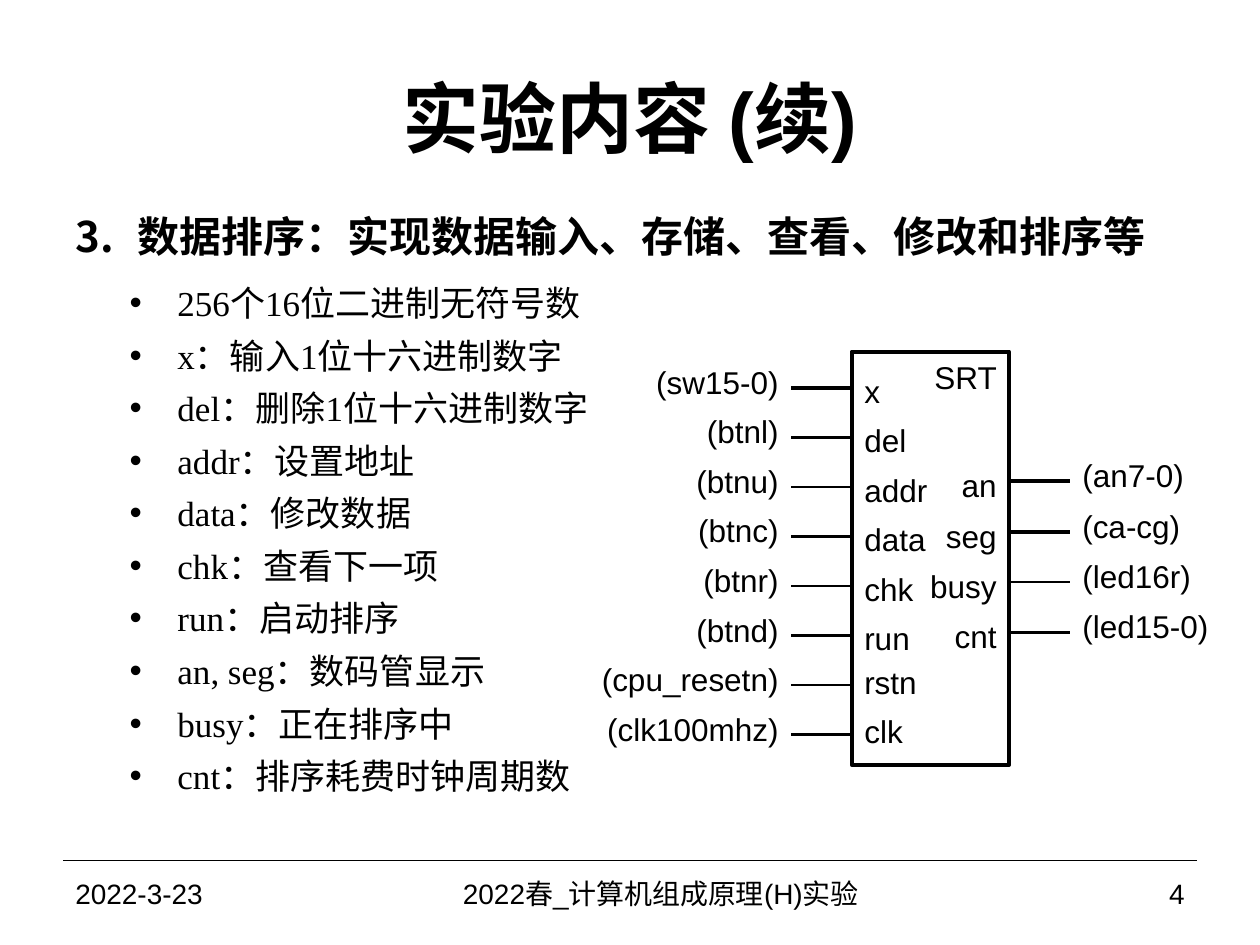
from lxml.etree import SubElement
from pptx import Presentation
from pptx.dml.color import RGBColor
from pptx.enum.shapes import MSO_CONNECTOR, MSO_SHAPE
from pptx.enum.text import MSO_ANCHOR, PP_ALIGN
from pptx.oxml.ns import qn
from pptx.util import Inches, Pt

# Content
TITLE = "实验内容 (续)"
HEADING = "数据排序：实现数据输入、存储、查看、修改和排序等"
HEADING_NUMBER = 3
BULLETS = [
    "256个16位二进制无符号数",
    "x：输入1位十六进制数字",
    "del：删除1位十六进制数字",
    "addr：设置地址",
    "data：修改数据",
    "chk：查看下一项",
    "run：启动排序",
    "an, seg：数码管显示",
    "busy：正在排序中",
    "cnt：排序耗费时钟周期数",
]
MODULE = "SRT"
# port, board signal, line weight, offset of the port name from its wire
INPUTS = [
    ("x", "(sw15-0)", "bus", 0.02),
    ("del", "(btnl)", "wire", 0.02),
    ("addr", "(btnu)", "wire", 0.02),
    ("data", "(btnc)", "wire", 0.02),
    ("chk", "(btnr)", "wire", 0.02),
    ("run", "(btnd)", "wire", 0.02),
    ("rstn", "(cpu_resetn)", "wire", -0.03),
    ("clk", "(clk100mhz)", "wire", -0.03),
]
OUTPUTS = [
    ("an", "(an7-0)", "bus", 0.03),
    ("seg", "(ca-cg)", "bus", 0.03),
    ("busy", "(led16r)", "wire", 0.03),
    ("cnt", "(led15-0)", "wire", 0.03),
]
L, C, R = PP_ALIGN.LEFT, PP_ALIGN.CENTER, PP_ALIGN.RIGHT
FOOTER = [  # text, left, width, alignment
    ("2022-3-23", 0.5, 2.33, L),
    ("2022春_计算机组成原理(H)实验", 2.83, 4.83, C),
    ("4", 7.67, 1.83, R),
]

THEME = {
    "ink": RGBColor(0, 0, 0),
    "sans": "Arial", "serif": "Times New Roman",
    "title": 44, "heading": 24, "bullet": 20, "label": 18, "footer": 16,
    "rule": 0.75, "wire": 1.5, "bus": 2.25,
}

# Geometry in inches
BLOCK = (6.76, 2.79, 1.25, 3.28)
WIRE, LABEL_W, LABEL_H = 0.48, 1.7, 0.38
PORT_GAP, SIGNAL_GAP, SIGNAL_DY = 0.1, 0.1, -0.05
INPUT_Y, INPUT_PITCH = 3.08, 0.393
OUTPUT_Y, OUTPUT_PITCH = 3.82, 0.4
FOOTER_Y = 6.83


def add_run(p, text, size, font="sans", bold=False):
    r = p.add_run()
    r.text = text
    r.font.size, r.font.name, r.font.bold = Pt(THEME[size]), THEME[font], bold
    r.font.color.rgb = THEME["ink"]


def add_box(s, x, y, w, h, anchor=MSO_ANCHOR.MIDDLE, inset=None):
    tf = s.shapes.add_textbox(*map(Inches, (x, y, w, h))).text_frame
    tf.word_wrap, tf.vertical_anchor = True, anchor
    if inset is not None:
        tf.margin_left = tf.margin_right = Inches(inset)
        tf.margin_top = tf.margin_bottom = Inches(inset)
    return tf


def add_text(s, text, x, y, w, h, size, align, bold=False, inset=None):
    p = add_box(s, x, y, w, h, inset=inset).paragraphs[0]
    p.alignment = align
    add_run(p, text, size, bold=bold)


def add_line(s, x1, x2, y, weight):
    ln = s.shapes.add_connector(
        MSO_CONNECTOR.STRAIGHT, *map(Inches, (x1, y, x2, y)))
    ln.line.color.rgb, ln.line.width = THEME["ink"], Pt(THEME[weight])
    SubElement(ln._element.spPr, qn("a:effectLst"))


def set_list(p, margin, hang, before, tag, **attrs):
    p.space_before = Pt(before)
    pPr = p._p.get_or_add_pPr()
    pPr.set("marL", str(Inches(margin)))
    pPr.set("indent", str(-Inches(hang)))
    if tag == "a:buChar":
        SubElement(pPr, qn("a:buFont"), typeface=THEME["sans"])
    SubElement(pPr, qn(tag), **attrs)


def add_body(s):
    tf = add_box(s, 0.5, 1.62, 8.91, 5.12, MSO_ANCHOR.TOP)
    p = tf.paragraphs[0]
    set_list(p, 0.49, 0.49, 6, "a:buAutoNum",
             type="arabicPeriod", startAt=str(HEADING_NUMBER))
    add_run(p, HEADING, "heading", "serif", True)
    for i, text in enumerate(BULLETS):
        p = tf.add_paragraph()
        p.level = 1
        set_list(p, 0.81, 0.38, 6 if i else 12, "a:buChar", char="•")
        add_run(p, text, "bullet", "serif")


def add_label(s, text, edge, y, align):
    """Place a label against an edge, centred on height y."""
    x = edge - LABEL_W if align == R else edge
    add_text(s, text, x, y - LABEL_H / 2, LABEL_W, LABEL_H,
             "label", align, inset=0)


def add_ports(s, ports, edge, y0, pitch, side):
    """Draw wires and labels; side is -1 for inputs, 1 for outputs."""
    inner, outer = (L, R) if side < 0 else (R, L)
    end = edge + side * WIRE
    for i, (port, signal, weight, dy) in enumerate(ports):
        y = y0 + i * pitch
        add_line(s, min(edge, end), max(edge, end), y, weight)
        add_label(s, port, edge - side * PORT_GAP, y + dy, inner)
        add_label(s, signal, end + side * SIGNAL_GAP, y + SIGNAL_DY, outer)


def add_module(s):
    sp = s.shapes.add_shape(MSO_SHAPE.RECTANGLE, *map(Inches, BLOCK))
    sp.shadow.inherit = False
    sp.fill.background()
    sp.line.color.rgb, sp.line.width = THEME["ink"], Pt(THEME["bus"])
    tf = sp.text_frame
    tf.vertical_anchor = MSO_ANCHOR.TOP
    tf.paragraphs[0].alignment = R
    add_run(tf.paragraphs[0], MODULE, "label")
    left, right = BLOCK[0], BLOCK[0] + BLOCK[2]
    add_ports(s, INPUTS, left, INPUT_Y, INPUT_PITCH, -1)
    add_ports(s, OUTPUTS, right, OUTPUT_Y, OUTPUT_PITCH, 1)


def main():
    prs = Presentation()
    prs.slide_width, prs.slide_height = Inches(10), Inches(7.5)
    s = prs.slides.add_slide(prs.slide_layouts[6])

    # Title and list
    add_text(s, TITLE, 0.5, 0.3, 9, 1.25, "title", C, bold=True)
    add_body(s)

    # Module diagram
    add_module(s)

    # Footer
    add_line(s, 0.5, 9.5, FOOTER_Y, "rule")
    for text, x, w, align in FOOTER:
        add_text(s, text, x, FOOTER_Y, w, 0.52, "footer", align)

    prs.save("out.pptx")


if __name__ == "__main__":
    main()
